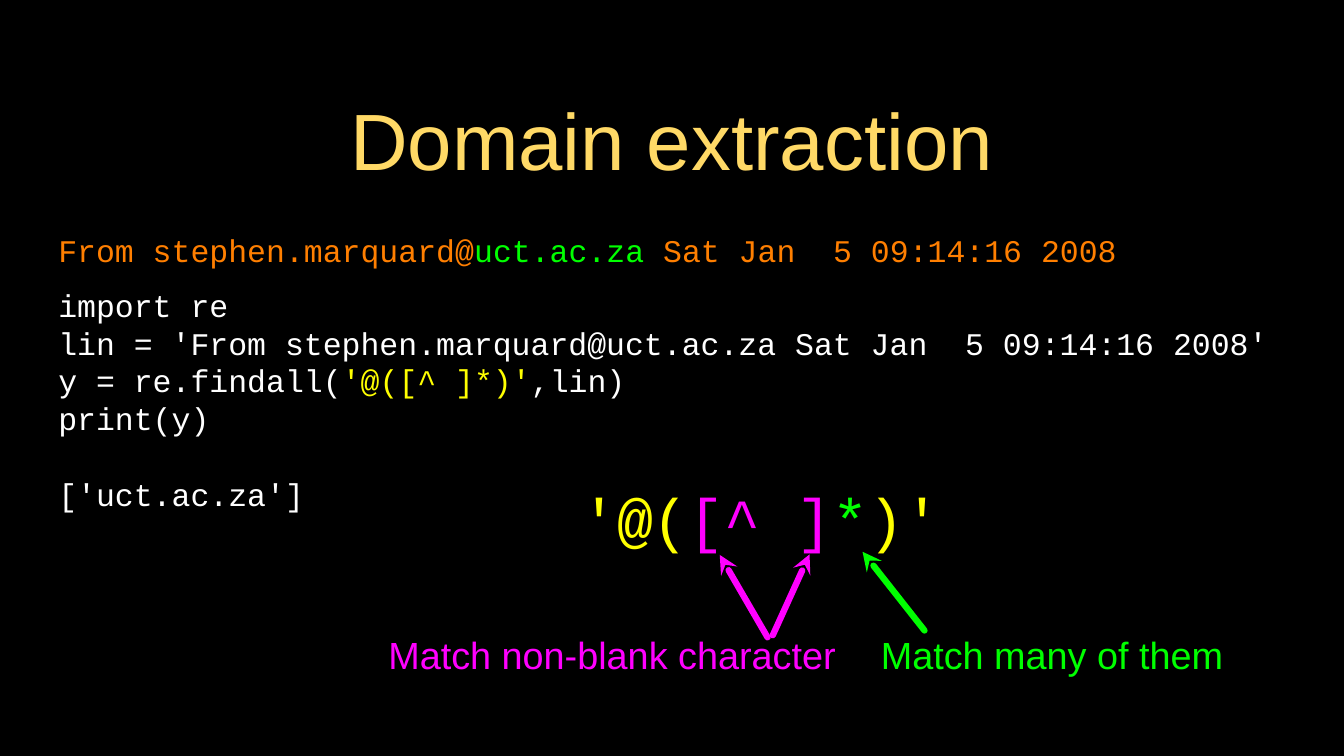
from lxml.etree import SubElement
from pptx import Presentation
from pptx.dml.color import RGBColor
from pptx.enum.shapes import MSO_CONNECTOR as Connector
from pptx.enum.text import MSO_ANCHOR as Anchor, PP_ALIGN as Align
from pptx.oxml.ns import qn
from pptx.util import Pt

WHITE, ORANGE, YELLOW = "FFFFFF", "FF7F00", "FFFF00"
MAGENTA, GREEN, GOLD = "FF00FF", "00FF00", "FFD966"


def paint(target, color):
    """Give a font, line or fill a solid colour."""
    fill = getattr(target, "fill", target)
    fill.solid()
    fill.fore_color.rgb = RGBColor.from_string(color)


def write(box, lines, font, size, align=Align.LEFT, inset=0):
    """Fill a shape with lines, each a list of (text, colour) spans."""
    frame = box.text_frame
    frame.word_wrap = True
    frame.vertical_anchor = Anchor.MIDDLE
    frame.margin_left = frame.margin_right = Pt(inset)
    frame.margin_top = frame.margin_bottom = Pt(inset)
    for number, line in enumerate(lines):
        para = frame.add_paragraph() if number else frame.paragraphs[0]
        para.alignment = align
        for text, color in line:
            span = para.add_run()
            span.text = text
            span.font.name = font
            span.font.size = Pt(size)
            paint(span.font, color)
    return frame


deck = Presentation()
deck.slide_width, deck.slide_height = Pt(1280), Pt(720)
page = deck.slides.add_slide(deck.slide_layouts[5])
paint(page.background, "000000")

title = page.shapes.title
title.left, title.top, title.width, title.height = Pt(91), Pt(64), Pt(1097), Pt(136)
write(title, [[("Domain extraction", GOLD)]], "Arial", 76, Align.CENTER, inset=3)

pattern = [("'@(", YELLOW), ("[^ ]", MAGENTA), ("*", GREEN), (")'", YELLOW)]
box = page.shapes.add_textbox(Pt(553.5), Pt(458.5), Pt(346), Pt(69))
write(box, [pattern], "Courier New", 57)

captions = [
    ("Match non-blank character", MAGENTA, 342, 482),
    ("Match many of them", GREEN, 808.5, 387),
]
for text, color, left, width in captions:
    box = page.shapes.add_textbox(Pt(left), Pt(598.5), Pt(width), Pt(49))
    write(box, [[(text, color)]], "Arial", 36, Align.CENTER)

arrows = [
    (MAGENTA, 685.5, 528.5, 731, 607),
    (GREEN, 821.5, 525.5, 880.5, 600.5),
    (MAGENTA, 771, 528, 736, 605),
]
for color, *ends in arrows:
    arrow = page.shapes.add_connector(Connector.STRAIGHT, *map(Pt, ends))
    arrow.line.width = Pt(6)
    paint(arrow.line, color)
    outline = arrow.line._get_or_add_ln()
    outline.set("cap", "rnd")
    SubElement(outline, qn("a:headEnd"), type="stealth")
    SubElement(arrow._element.spPr, qn("a:effectLst"))

code = [
    [("import re ", WHITE)],
    [("lin = 'From stephen.marquard@uct.ac.za Sat Jan  5 09:14:16 2008'", WHITE)],
    [("y = re.findall(", WHITE), ("'@([^ ]*)'", YELLOW), (",lin)", WHITE)],
    [("print(y)", WHITE)],
    [("['uct.ac.za']", WHITE)],
]
box = page.shapes.add_textbox(Pt(55.5), Pt(278), Pt(1175), Pt(204.5))
listing = write(box, code, "Courier New", 30)
for para in listing.paragraphs:
    para.line_spacing = Pt(36)
listing.paragraphs[-1].space_before = Pt(36)

mail_line = [
    ("From stephen.marquard@", ORANGE),
    ("uct.ac.za", GREEN),
    (" Sat Jan  5 09:14:16 2008", ORANGE),
]
box = page.shapes.add_textbox(Pt(55.5), Pt(211.5), Pt(1120), Pt(53.5))
write(box, [mail_line], "Courier New", 30)

deck.save("out.pptx")
